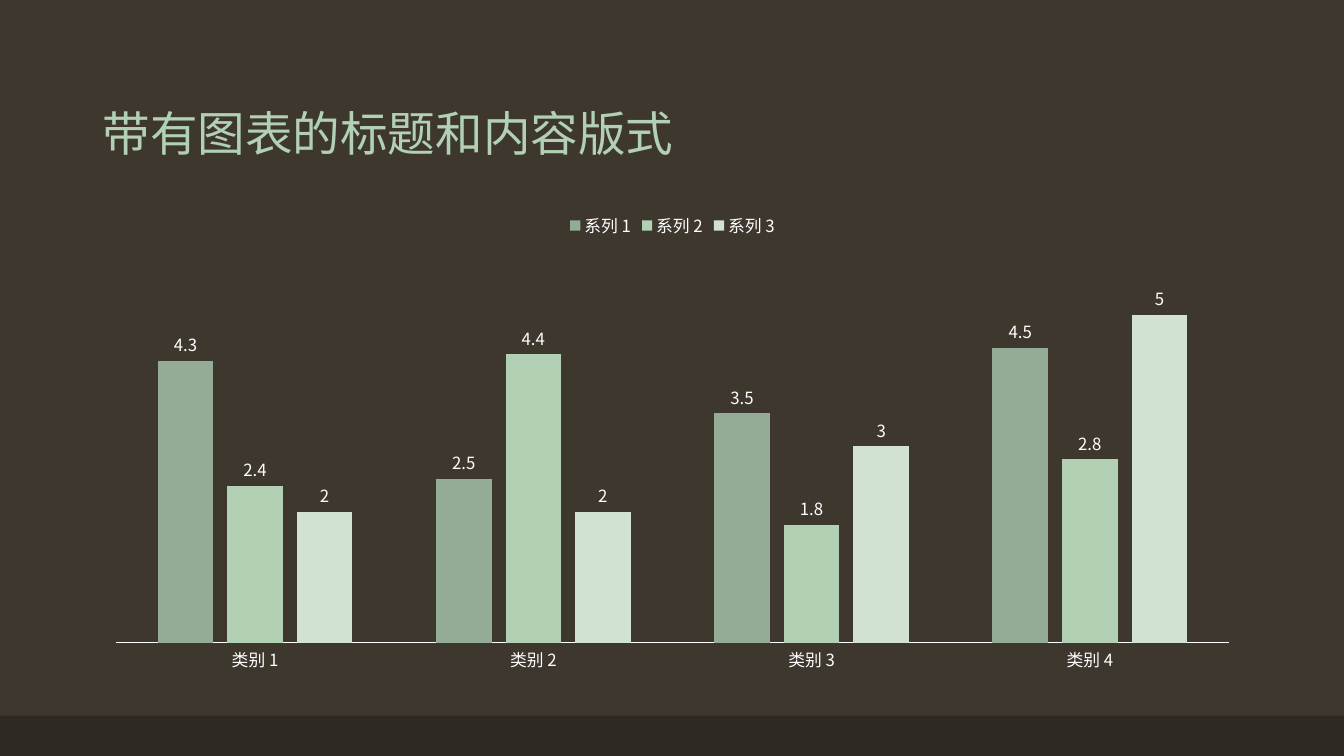
import pptx
import pptx.chart.data
import pptx.dml.color
import pptx.enum.chart
import pptx.enum.shapes
import pptx.enum.text
import pptx.oxml
import pptx.oxml.ns
import pptx.util

TITLE = "带有图表的标题和内容版式"
CATEGORIES = ["类别 1", "类别 2", "类别 3", "类别 4"]
SERIES = [
    ("系列 1", "94AC95", (4.3, 2.5, 3.5, 4.5)),
    ("系列 2", "B2D0B4", (2.4, 4.4, 1.8, 2.8)),
    ("系列 3", "D1E2D2", (2, 2, 3, 5)),
]
BACKGROUND, FOOTER_BAND, TITLE_COLOR, CHART_TEXT = "3D372E", "2E2923", "B2D0B4", "FFFFFF"
TITLE_FONT, CJK_FONT = "TeX Gyre Schola", "Noto Sans CJK SC"

WIDTH, HEIGHT = 13.33, 7.5
MARGIN = 0.92
CONTENT_WIDTH = 11.5
BAND_HEIGHT = 0.4
PLOT_SHARES = {"x": 0.02, "y": 0.1, "w": 0.96, "h": 0.82}


def rgb(color):
    return pptx.dml.color.RGBColor.from_string(color)


def box(*lengths):
    return [pptx.util.Inches(length) for length in lengths]


def paint(fill, color):
    fill.solid()
    fill.fore_color.rgb = rgb(color)


def style(font, name, size, color):
    font.name = name
    font.size = pptx.util.Pt(size)
    font.color.rgb = rgb(color)


def set_east_asian(properties):
    """Add the East Asian typeface right after the Latin one."""
    latin = properties.find(pptx.oxml.ns.qn("a:latin"))
    if latin is not None:
        latin.addnext(pptx.oxml.parse_xml(
            f'<a:ea {pptx.oxml.ns.nsdecls("a")} typeface="{CJK_FONT}"/>'))


def add_title(slide):
    title = slide.shapes.add_textbox(*box(MARGIN, 0.4, CONTENT_WIDTH, 1.25))
    frame = title.text_frame
    frame.word_wrap = True
    frame.vertical_anchor = pptx.enum.text.MSO_ANCHOR.BOTTOM
    frame.text = TITLE
    paragraph = frame.paragraphs[0]
    paragraph.line_spacing = 0.9
    run = paragraph.runs[0]
    style(run.font, TITLE_FONT, 34, TITLE_COLOR)
    set_east_asian(run.font._element)


def place_plot(chart):
    """Fix the inner plot area as shares of the chart's size."""
    plot_area = chart.element.chart.plotArea
    for layout in plot_area.findall(pptx.oxml.ns.qn("c:layout")):
        plot_area.remove(layout)
    shares = "".join(f'<c:{side} val="{share}"/>' for side, share in PLOT_SHARES.items())
    plot_area.insert(0, pptx.oxml.parse_xml(
        f'<c:layout {pptx.oxml.ns.nsdecls("c")}><c:manualLayout>'
        '<c:layoutTarget val="inner"/><c:xMode val="edge"/><c:yMode val="edge"/>'
        f'{shares}</c:manualLayout></c:layout>'))


def add_column_chart(slide):
    data = pptx.chart.data.CategoryChartData()
    data.categories = CATEGORIES
    for name, _, values in SERIES:
        data.add_series(name, values)
    chart = slide.shapes.add_chart(
        pptx.enum.chart.XL_CHART_TYPE.COLUMN_CLUSTERED,
        *box(MARGIN, 2, CONTENT_WIDTH, 4.76), data).chart
    chart.has_title = False
    style(chart.font, TITLE_FONT, 10, CHART_TEXT)

    chart.has_legend = True
    chart.legend.position = pptx.enum.chart.XL_LEGEND_POSITION.TOP
    chart.legend.include_in_layout = False
    style(chart.legend.font, CJK_FONT, 12, CHART_TEXT)

    values_axis = chart.value_axis
    values_axis.visible = False
    values_axis.has_major_gridlines = False
    values_axis.minimum_scale, values_axis.maximum_scale = 0, 6

    categories_axis = chart.category_axis
    categories_axis.major_tick_mark = pptx.enum.chart.XL_TICK_MARK.NONE
    categories_axis.format.line.color.rgb = rgb(CHART_TEXT)
    categories_axis.format.line.width = pptx.util.Pt(0.75)
    style(categories_axis.tick_labels.font, CJK_FONT, 12, CHART_TEXT)

    columns = chart.plots[0]
    columns.gap_width, columns.overlap = 150, -25
    columns.vary_by_categories = False
    for series, (_, color, _) in zip(columns.series, SERIES):
        paint(series.format.fill, color)
        series.invert_if_negative = False
        labels = series.data_labels
        labels.show_value = True
        labels.position = pptx.enum.chart.XL_LABEL_POSITION.OUTSIDE_END
        style(labels.font, CJK_FONT, 12, CHART_TEXT)

    place_plot(chart)
    for properties in chart.element.iter(pptx.oxml.ns.qn("a:defRPr")):
        set_east_asian(properties)


def main():
    deck = pptx.Presentation()
    deck.slide_width, deck.slide_height = box(WIDTH, HEIGHT)
    slide = deck.slides.add_slide(deck.slide_layouts[6])
    paint(slide.background.fill, BACKGROUND)

    band = slide.shapes.add_shape(
        pptx.enum.shapes.MSO_SHAPE.RECTANGLE,
        *box(0, HEIGHT - BAND_HEIGHT, WIDTH, BAND_HEIGHT))
    band.shadow.inherit = False
    paint(band.fill, FOOTER_BAND)
    band.line.fill.background()

    add_title(slide)
    add_column_chart(slide)
    deck.save("out.pptx")


if __name__ == "__main__":
    main()
